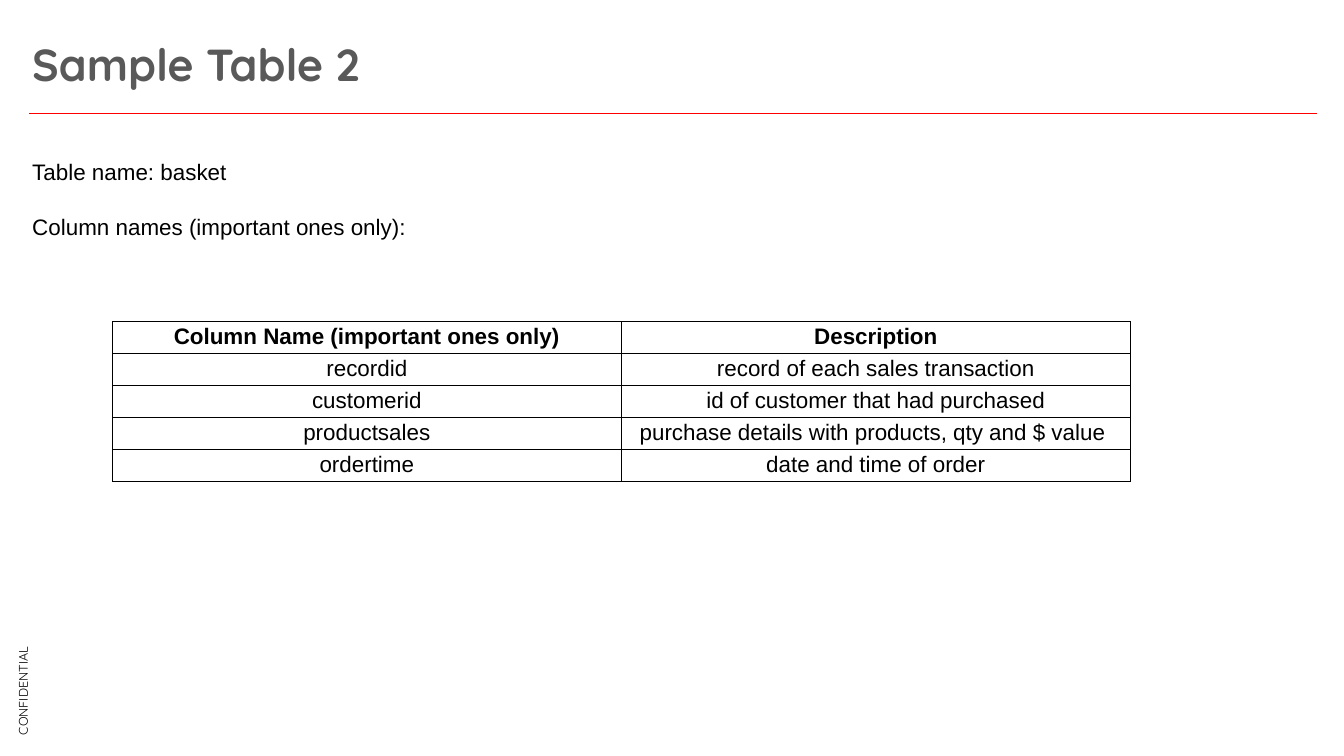
from dataclasses import dataclass

from lxml import etree
from pptx import Presentation
from pptx.dml.color import RGBColor
from pptx.enum.shapes import MSO_CONNECTOR
from pptx.enum.text import MSO_ANCHOR, MSO_AUTO_SIZE, PP_ALIGN
from pptx.oxml.ns import qn
from pptx.util import Inches, Pt

LEFT, CENTER = PP_ALIGN.LEFT, PP_ALIGN.CENTER
TOP, MIDDLE = MSO_ANCHOR.TOP, MSO_ANCHOR.MIDDLE
NO_FIT = MSO_AUTO_SIZE.NONE
STRAIGHT = MSO_CONNECTOR.STRAIGHT
SIDES = ("a:lnL", "a:lnR", "a:lnT", "a:lnB")


@dataclass(frozen=True)
class Theme:
    head: str = "Quicksand"
    body: str = "Arial"
    ink: str = "000000"
    gray: str = "595959"
    red: str = "FF0000"
    big: int = 64
    text: int = 32
    small: int = 18
    pad: float = 0.06


class Deck:
    def __init__(self, theme, width, height):
        self.theme = theme
        self.file = Presentation()
        self.file.slide_width = Inches(width)
        self.file.slide_height = Inches(height)
        self.slide = self.file.slides.add_slide(self.file.slide_layouts[5])

    def run(self, para, text, size, font, color, bold=False):
        run = para.add_run()
        run.text = text
        run.font.size = Pt(size)
        run.font.name = font
        run.font.bold = bold
        run.font.color.rgb = RGBColor.from_string(color)

    def frame(self, shape, anchor, wrap=True):
        frame = shape.text_frame
        frame.auto_size = NO_FIT
        frame.word_wrap = wrap
        frame.vertical_anchor = anchor
        pad = Inches(self.theme.pad)
        frame.margin_left = frame.margin_right = pad
        frame.margin_top = frame.margin_bottom = pad
        return frame

    def title(self, text, box):
        shape = self.slide.shapes.title
        shape.left, shape.top, shape.width, shape.height = map(Inches, box)
        para = self.frame(shape, MIDDLE).paragraphs[0]
        para.alignment = LEFT
        look = self.theme
        self.run(para, text, look.big, look.head, look.gray, True)

    def rule(self, left, right, top):
        line = self.slide.shapes.add_connector(
            STRAIGHT, Inches(left), Inches(top), Inches(right), Inches(top))
        line.line.color.rgb = RGBColor.from_string(self.theme.red)
        line.line.width = Pt(1.25)
        etree.SubElement(line.element.spPr, qn("a:effectLst"))

    def notes(self, lines, box, gap):
        shape = self.slide.shapes.add_textbox(*map(Inches, box))
        frame = self.frame(shape, TOP)
        look = self.theme
        for i, text in enumerate(lines):
            para = frame.add_paragraph() if i else frame.paragraphs[0]
            para.space_before = Pt(gap if i else 0)
            self.run(para, text, look.text, look.body, look.ink)

    def label(self, text, box):
        shape = self.slide.shapes.add_textbox(*map(Inches, box))
        shape.rotation = 270
        para = self.frame(shape, TOP, False).paragraphs[0]
        para.alignment = CENTER
        look = self.theme
        self.run(para, text, look.small, look.head, look.ink)

    def border(self, cell):
        props = cell._tc.get_or_add_tcPr()
        for i, side in enumerate(SIDES):
            line = etree.Element(qn(side), w=str(Pt(1)))
            fill = etree.SubElement(line, qn("a:solidFill"))
            etree.SubElement(fill, qn("a:srgbClr"), val=self.theme.ink)
            props.insert(i, line)

    def table(self, rows, box):
        shape = self.slide.shapes.add_table(
            len(rows), len(rows[0]), *map(Inches, box))
        grid = shape.table
        grid.horz_banding = False
        look = self.theme
        for i, row in enumerate(rows):
            for j, text in enumerate(row):
                cell = grid.cell(i, j)
                cell.fill.background()
                cell.margin_top = cell.margin_bottom = Inches(look.pad)
                para = cell.text_frame.paragraphs[0]
                para.alignment = CENTER
                self.run(para, text, look.text, look.body, look.ink, i == 0)
                self.border(cell)


ROWS = [
    ("Column Name (important ones only)", "Description"),
    ("recordid", "record of each sales transaction"),
    ("customerid", "id of customer that had purchased"),
    ("productsales", "purchase details with products, qty and $ value "),
    ("ordertime", "date and time of order"),
]

deck = Deck(Theme(), 26.67, 15)
deck.rule(0.58, 26.13, 2.26)
deck.label("CONFIDENTIAL", (-0.54, 13.51, 1.97, 0.4))
deck.title("Sample Table 2", (0.58, 0.62, 22.9, 1.27))
deck.notes(["Table name: basket", "Column names (important ones only):"],
           (0.58, 3.07, 23.92, 1.73), 41)
deck.table(ROWS, (2.23, 6.38, 20.2, 3.17))
deck.file.save("out.pptx")
